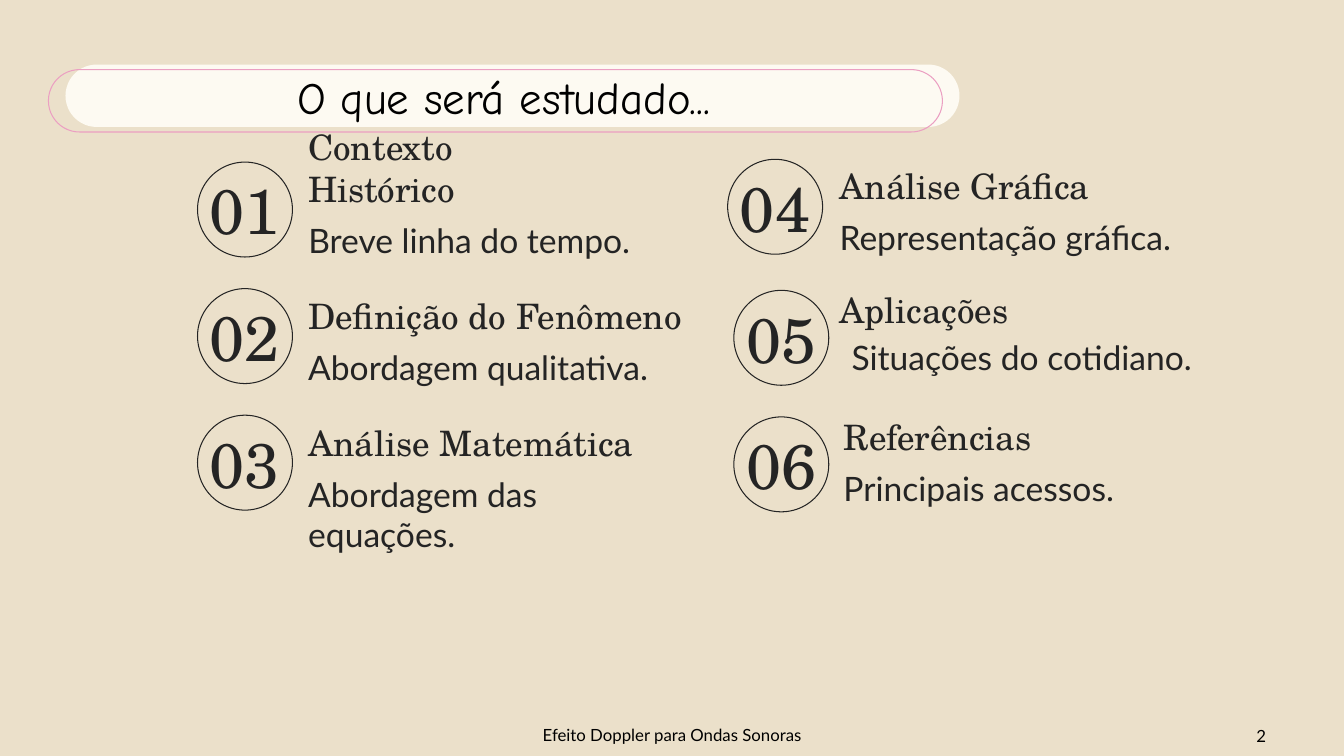
"""Build the agenda slide of a talk on the Doppler effect."""
from pptx import Presentation
from pptx.dml.color import RGBColor
from pptx.enum import shapes, text
from pptx.util import Pt

SAND = RGBColor(0xEB, 0xE0, 0xCA)
CREAM = RGBColor(0xFD, 0xFA, 0xF2)
PINK = RGBColor(0xEB, 0x9F, 0xC2)
INK = RGBColor(0x24, 0x24, 0x24)
BLACK = RGBColor(0, 0, 0)

SERIF, SANS, COMIC = "TeX Gyre Schola", "Lato", "Comic Neue"
LEFT, CENTER, RIGHT = text.PP_ALIGN.LEFT, text.PP_ALIGN.CENTER, text.PP_ALIGN.RIGHT
TOP, MIDDLE, BOTTOM = text.MSO_ANCHOR.TOP, text.MSO_ANCHOR.MIDDLE, text.MSO_ANCHOR.BOTTOM
OVAL, PILL = shapes.MSO_SHAPE.OVAL, shapes.MSO_SHAPE.ROUNDED_RECTANGLE

CIRCLE = 67.8
ROW = 90.4
LEFT_X, LEFT_Y = 141.1, 115.8
RIGHT_X, RIGHT_Y = 524.2, 207.4
TEXT_X = 213.1

# number, circle x, y, heading, x, dy, width, detail, x, dy, width
TOPICS = [
    ("01", LEFT_X, LEFT_Y, "Contexto Histórico", TEXT_X, 5.2, 226.8,
     "Breve linha do tempo.", TEXT_X, 34, 267.1),
    ("02", LEFT_X, LEFT_Y + ROW, "Definição do Fenômeno", TEXT_X, 5.4, 293,
     "Abordagem qualitativa.", TEXT_X, 34.3, 285.1),
    ("03", LEFT_X, LEFT_Y + 2 * ROW, "Análise Matemática", TEXT_X, 5.8, 267.1,
     "Abordagem das equações.", TEXT_X, 34.6, 283.7),
    ("04", 519.8, 113.8, "Análise Gráfica", 592.6, 5, 226.8,
     "Representação gráfica.", 592.6, 33.8, 267.1),
    ("05", RIGHT_X, RIGHT_Y, "Aplicações", 592.6, 0, 226.8,
     "Situações do cotidiano.", 601.2, 25.9, 267.1),
    ("06", RIGHT_X, RIGHT_Y + ROW, "Referências", 595.4, 0.3, 226.8,
     "Principais acessos.", 595.4, 29.1, 267.1),
]


class Deck:
    """Hold the style and the current slide."""

    def __init__(self):
        self.prs = Presentation()
        self.prs.slide_width, self.prs.slide_height = Pt(960), Pt(540)
        self.s = self.prs.slides.add_slide(self.prs.slide_layouts[6])
        fill = self.s.background.fill
        fill.solid()
        fill.fore_color.rgb = SAND

    def shape(self, kind, x, y, w, h, fill=None, line=None):
        """Draw a preset shape with an optional fill and outline."""
        sp = self.s.shapes.add_shape(kind, Pt(x), Pt(y), Pt(w), Pt(h))
        sp.shadow.inherit = False
        if kind == PILL:
            sp.adjustments[0] = 0.5
        for part, color in ((sp.fill, fill), (sp.line.fill, line)):
            if color is None:
                part.background()
            else:
                part.solid()
                part.fore_color.rgb = color
        if line is not None:
            sp.line.width = Pt(0.75)

    def text(self, words, x, y, w, h, font, size, color=INK, align=LEFT,
             anchor=TOP, inset=7.2):
        """Place one line of styled text in a wrapping box."""
        tf = self.s.shapes.add_textbox(Pt(x), Pt(y), Pt(w), Pt(h)).text_frame
        tf.word_wrap = True
        tf.vertical_anchor = anchor
        tf.margin_left = tf.margin_right = Pt(7.2)
        tf.margin_top = tf.margin_bottom = Pt(inset)
        tf.text = words
        p = tf.paragraphs[0]
        p.alignment = align
        r = p.runs[0]
        r.font.name, r.font.size, r.font.color.rgb = font, Pt(size), color

    def topic(self, number, x, y, heading, hx, hdy, hw, detail, dx, ddy, dw):
        """Draw a circled number with its heading and detail."""
        self.shape(OVAL, x, y, CIRCLE, CIRCLE, line=INK)
        self.text(number, x - 4.7, y + 12.4, 77, 43.2, SERIF, 45,
                  align=CENTER, anchor=MIDDLE)
        self.text(heading, hx, y + hdy, hw, 36, SERIF, 25, anchor=BOTTOM)
        self.text(detail, dx, y + ddy, dw, 44.6, SANS, 24)

    def title(self, words):
        """Draw the offset pills and the title."""
        self.shape(PILL, 46.8, 46.1, 638.6, 44.6, fill=CREAM)
        self.shape(PILL, 34.6, 49.7, 638.6, 44.6, line=PINK)
        self.text(words, 56.2, 42.5, 607.7, 50.4, COMIC, 32, BLACK, CENTER)

    def footer(self, words, number):
        """Write the footer and the slide number."""
        self.text(words, 318.2, 510.5, 324, 28.8, SANS, 12, BLACK, CENTER, MIDDLE, 3.6)
        self.text(number, 695.5, 511.2, 216, 28.8, SANS, 12, BLACK, RIGHT, MIDDLE, 3.6)


def main():
    """Compose and save the slide."""
    deck = Deck()
    deck.title("O que será estudado...")
    for topic in TOPICS:
        deck.topic(*topic)
    deck.footer("Efeito Doppler para Ondas Sonoras", "2")
    deck.prs.save("out.pptx")


if __name__ == "__main__":
    main()
